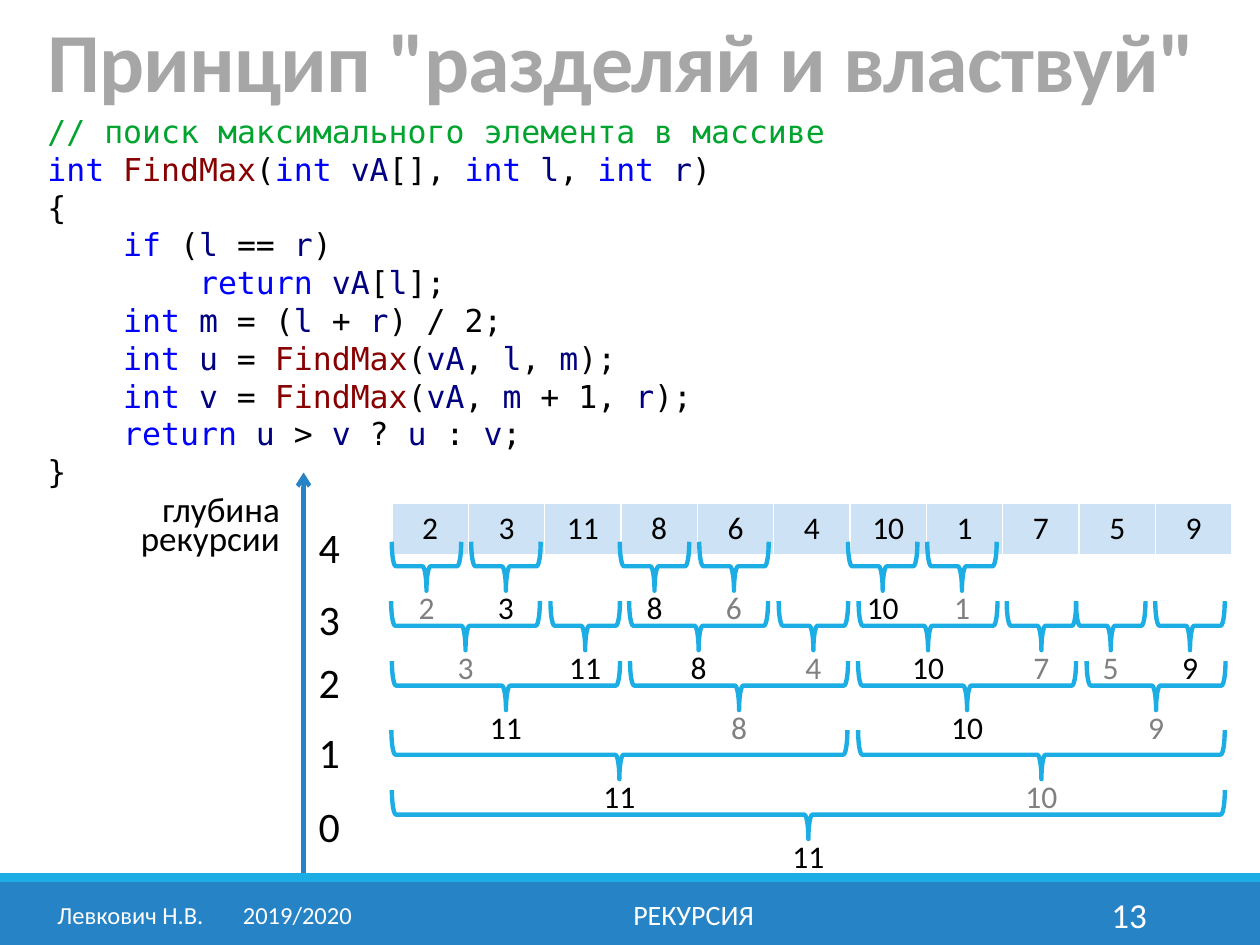
from itertools import groupby

from lxml import etree
from pptx import Presentation
from pptx.dml.color import RGBColor
from pptx.enum import shapes, text
from pptx.oxml.ns import qn
from pptx.util import Pt

COLOURS = {
    "bar": "2683C6", "accent": "1CADE4", "cell": "CDE3F5", "white": "FFFFFF",
    "black": "000000", "dropped": "808080", "title": "A6A6A6",
    "comment": "00A42F", "keyword": "0000FF", "function": "880000", "variable": "000080",
}
LEFT, CENTER, RIGHT = text.PP_ALIGN.LEFT, text.PP_ALIGN.CENTER, text.PP_ALIGN.RIGHT
TOP, MIDDLE, BOTTOM = text.MSO_ANCHOR.TOP, text.MSO_ANCHOR.MIDDLE, text.MSO_ANCHOR.BOTTOM

ARRAY = [2, 3, 11, 8, 6, 4, 10, 1, 7, 5, 9]
CODE = """// поиск максимального элемента в массиве
int FindMax(int vA[], int l, int r)
{
    if (l == r)
        return vA[l];
    int m = (l + r) / 2;
    int u = FindMax(vA, l, m);
    int v = FindMax(vA, m + 1, r);
    return u > v ? u : v;
}"""

# Depth: (brace middle y, depth label top, [(centre x, brace width, maximum, passed up?)])
RECURSION = {
    4: (323.6, 301.7, [(243.7, 39.7, 2, False), (289.1, 39.7, 3, True),
                       (374, 39.7, 8, True), (419.4, 39.7, 6, False),
                       (504.4, 39.7, 10, True), (549.7, 39.7, 1, False)]),
    3: (357.6, 342.7, [(266, 85, 3, False), (334.4, 39.7, 11, True),
                       (399.2, 79.4, 8, True), (464.8, 39.7, 4, False),
                       (530.3, 79.4, 10, True), (595.1, 39.7, 7, False),
                       (634.7, 39.7, 5, False), (680, 39.7, 9, True)]),
    2: (391.8, 378.7, [(289.1, 130.4, 11, True), (422.3, 124.6, 8, False),
                       (552.6, 124.6, 10, True), (660.6, 79.4, 9, False)]),
    1: (431.3, 419, [(353.9, 260.6, 11, True), (595.1, 209.5, 10, False)]),
    0: (465.5, 460.8, [(461.9, 476, 11, True)]),
}


def rgb(colour):
    return RGBColor.from_string(COLOURS[colour])


def token_colour(token):
    if token in ("int", "if", "return"):
        return "keyword"
    if token == "FindMax":
        return "function"
    return "variable" if token.isalpha() else "black"


class Deck:
    def __init__(self, font, code_font):
        self.font, self.code_font = font, code_font
        self.presentation = Presentation()
        self.presentation.slide_width, self.presentation.slide_height = Pt(720), Pt(540)
        self.slide = self.presentation.slides.add_slide(self.presentation.slide_layouts[6])

    def set_font(self, font, size, colour, name=None):
        font.name, font.size = name or self.font, Pt(size)
        font.color.rgb = rgb(colour)

    def frame(self, left, top, width, height, anchor):
        frame = self.slide.shapes.add_textbox(Pt(left), Pt(top), Pt(width), Pt(height)).text_frame
        frame.word_wrap, frame.vertical_anchor = True, anchor
        return frame

    def label(self, wording, box, size, colour="black", align=CENTER, anchor=MIDDLE, spacing=None):
        paragraph = self.frame(*box, anchor).paragraphs[0]
        paragraph.text = str(wording)
        paragraph.alignment, paragraph.line_spacing = align, spacing
        self.set_font(paragraph.font, size, colour)
        return paragraph

    def code(self, source, box, size):
        frame = self.frame(*box, TOP)
        for number, line in enumerate(source.splitlines()):
            paragraph = frame.add_paragraph() if number else frame.paragraphs[0]
            if line.startswith("//"):
                paragraph.text = line
                self.set_font(paragraph.font, size, "comment", self.code_font)
                continue
            for _, letters in groupby(line, str.isalnum):
                run = paragraph.add_run()
                run.text = "".join(letters)
                self.set_font(run.font, size, token_colour(run.text), self.code_font)

    def bar(self, top, height, colour):
        bar = self.slide.shapes.add_shape(
            shapes.MSO_SHAPE.RECTANGLE, 0, Pt(top), Pt(720), Pt(height))
        bar.shadow.inherit = False
        bar.fill.solid()
        bar.fill.fore_color.rgb = rgb(colour)
        bar.line.fill.background()

    def brace(self, center, middle, span, depth=28):
        """Draw a brace of the given horizontal span with its tip pointing down."""
        brace = self.slide.shapes.add_shape(
            shapes.MSO_SHAPE.RIGHT_BRACE, Pt(center - depth / 2), Pt(middle - span / 2),
            Pt(depth), Pt(span))
        brace.rotation = 90
        brace.shadow.inherit = False
        brace.fill.background()
        brace.line.color.rgb, brace.line.width = rgb("accent"), Pt(2.5)

    def arrow(self, x, bottom, top):
        arrow = self.slide.shapes.add_connector(
            shapes.MSO_CONNECTOR.STRAIGHT, Pt(x), Pt(bottom), Pt(x), Pt(top))
        arrow.line.color.rgb, arrow.line.width = rgb("bar"), Pt(2.5)
        etree.SubElement(arrow.line._get_or_add_ln(), qn("a:tailEnd"), type="arrow")
        etree.SubElement(arrow._element.spPr, qn("a:effectLst"))

    def row(self, values, left, top, column_width, height):
        table = self.slide.shapes.add_table(
            1, len(values), Pt(left), Pt(top), Pt(column_width * len(values)), Pt(height)).table
        table.rows[0].height = Pt(height)
        for column, value in enumerate(values):
            table.columns[column].width = Pt(column_width)
            cell = table.cell(0, column)
            paragraph = cell.text_frame.paragraphs[0]
            paragraph.text, paragraph.alignment = str(value), CENTER
            self.set_font(paragraph.font, 18, "black")
            for side in ("lnL", "lnR", "lnT", "lnB"):
                border = etree.SubElement(cell._tc.get_or_add_tcPr(), qn("a:" + side), w=str(Pt(1)))
                fill = etree.SubElement(border, qn("a:solidFill"))
                etree.SubElement(fill, qn("a:srgbClr"), val=COLOURS["white"])
            cell.fill.solid()
            cell.fill.fore_color.rgb = rgb("cell")


def main():
    deck = Deck("Calibri", "DejaVu Sans Mono")
    deck.bar(504, 36, "bar")
    deck.bar(499, 5, "accent")

    title = deck.label('Принцип "разделяй и властвуй"', (20, 0, 680.4, 66.2), 48, "title",
                       LEFT, BOTTOM, 0.85)
    title.font.bold = True
    title.runs[0].font._element.set("spc", "-50")
    deck.code(CODE, (20, 60.5, 471, 225.4), 18)

    deck.row(ARRAY, 224, 287.3, 43.65, 29.5)
    deck.arrow(173.5, 499, 270)
    deck.label("глубина рекурсии", (70.6, 281.5, 96.5, 42.5), 20, align=RIGHT, anchor=TOP,
               spacing=0.7)
    for depth, (middle, depth_top, calls) in RECURSION.items():
        deck.label(depth, (175, depth_top, 20.2, 28.8), 24, spacing=0.7)
        for center, span, maximum, passed_up in calls:
            deck.brace(center, middle, span)
            deck.label(maximum, (center - 20, middle + 9, 40, 28.8), 18,
                       "black" if passed_up else "dropped")

    author = deck.label("Левкович Н.В.\t2019/2020", (23, 508.3, 188, 28.8), 14, "white")
    tabs = etree.Element(qn("a:tabLst"))
    etree.SubElement(tabs, qn("a:tab"), pos=str(Pt(106)), algn="l")
    author._p.get_or_add_pPr().insert(0, tabs)
    deck.label("РЕКУРСИЯ", (217.4, 508.3, 358, 28.8), 16, "white")
    deck.label(13, (584.6, 508.3, 77.8, 28.8), 20, "white", RIGHT)

    deck.presentation.save("out.pptx")


if __name__ == "__main__":
    main()
